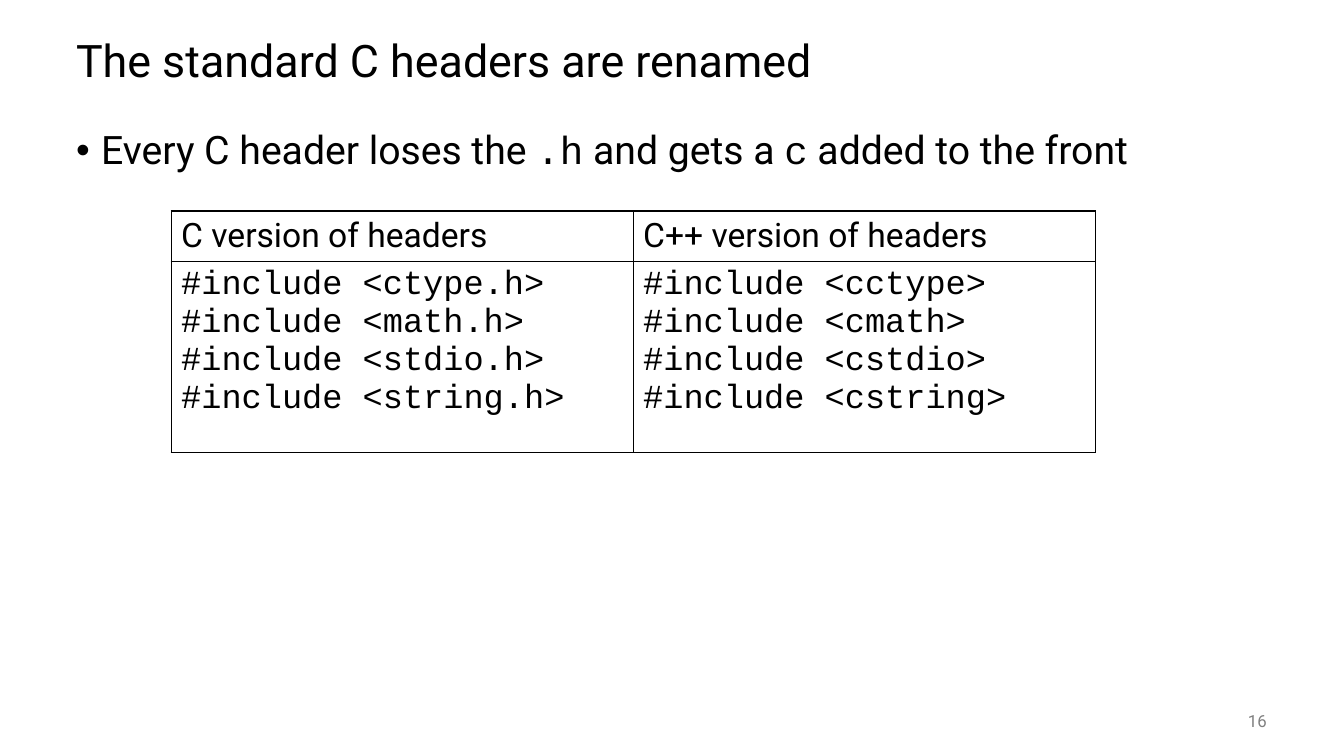
from lxml.etree import SubElement
from pptx import Presentation
from pptx.dml.color import RGBColor
from pptx.enum.text import MSO_ANCHOR as Anchor, PP_ALIGN as Align
from pptx.oxml.ns import qn
from pptx.util import Pt

PX = 9525
COLORS = {"ink": "000000", "muted": "808080"}
TEXT, CODE = "Roboto", "Courier New"
HEADERS = ["ctype", "math", "stdio", "string"]
COLUMNS = [
    ("C version of headers", [f"#include <{name}.h>" for name in HEADERS]),
    ("C++ version of headers", [f"#include <c{name}>" for name in HEADERS]),
]


def px(*lengths):
    return [length * PX for length in lengths]


def apply_format(target, values):
    for name, value in values.items():
        setattr(target, name, value)


def write_runs(paragraph, runs, size, color="ink"):
    for text, font_name in runs:
        run = paragraph.add_run()
        run.text = text
        apply_format(run.font, {"name": font_name, "size": Pt(size), "bold": False})
        run.font.color.rgb = RGBColor.from_string(COLORS[color])


def add_text(slide, box, runs, size, color="ink", anchor=Anchor.MIDDLE, **layout):
    frame = slide.shapes.add_textbox(*px(*box)).text_frame
    apply_format(frame, {"word_wrap": True, "vertical_anchor": anchor})
    paragraph = frame.paragraphs[0]
    apply_format(paragraph, layout)
    write_runs(paragraph, runs, size, color)
    return paragraph


def add_bullet(paragraph, indent):
    properties = paragraph._p.get_or_add_pPr()
    properties.set("marL", str(indent * PX))
    properties.set("indent", str(-indent * PX))
    SubElement(properties, qn("a:buFont"), typeface="Arial")
    SubElement(properties, qn("a:buChar"), char="•")


def add_borders(cell):
    properties = cell._tc.get_or_add_tcPr()
    for side in ("lnL", "lnR", "lnT", "lnB"):
        line = SubElement(properties, qn(f"a:{side}"), w=str(Pt(1)))
        fill = SubElement(line, qn("a:solidFill"))
        SubElement(fill, qn("a:srgbClr"), val=COLORS["ink"])


def fill_cell(cell, lines, font_name):
    add_borders(cell)
    cell.fill.background()
    frame = cell.text_frame
    for index, line in enumerate(lines):
        paragraph = frame.add_paragraph() if index else frame.paragraphs[0]
        write_runs(paragraph, [(line, font_name)], 24)


def add_header_table(slide, box, row_heights):
    table = slide.shapes.add_table(2, len(COLUMNS), *px(*box)).table
    apply_format(table, {"first_row": False, "horz_banding": False})
    for row, height in zip(table.rows, px(*row_heights)):
        row.height = height
    for index, (heading, includes) in enumerate(COLUMNS):
        fill_cell(table.cell(0, index), [heading], TEXT)
        fill_cell(table.cell(1, index), includes, CODE)


def main():
    presentation = Presentation()
    width, height = px(1280, 720)
    apply_format(presentation, {"slide_width": width, "slide_height": height})
    slide = presentation.slides.add_slide(presentation.slide_layouts[6])

    title = [("The standard C headers are renamed", TEXT)]
    add_text(slide, (63, 24, 1152, 72), title, 32, line_spacing=0.9)
    rule = [
        ("Every C header loses the ", TEXT),
        (".h", CODE),
        (" and gets a ", TEXT),
        ("c", CODE),
        (" added to the front", TEXT),
    ]
    body = add_text(slide, (63, 120, 1152, 528), rule, 28,
                    anchor=Anchor.TOP, line_spacing=0.9)
    add_bullet(body, 24)
    add_text(slide, (1120, 667, 96, 38), [("16", TEXT)], 12, "muted",
             alignment=Align.RIGHT)
    add_header_table(slide, (163, 201, 880, 230), (48, 182))
    presentation.save("out.pptx")


if __name__ == "__main__":
    main()
